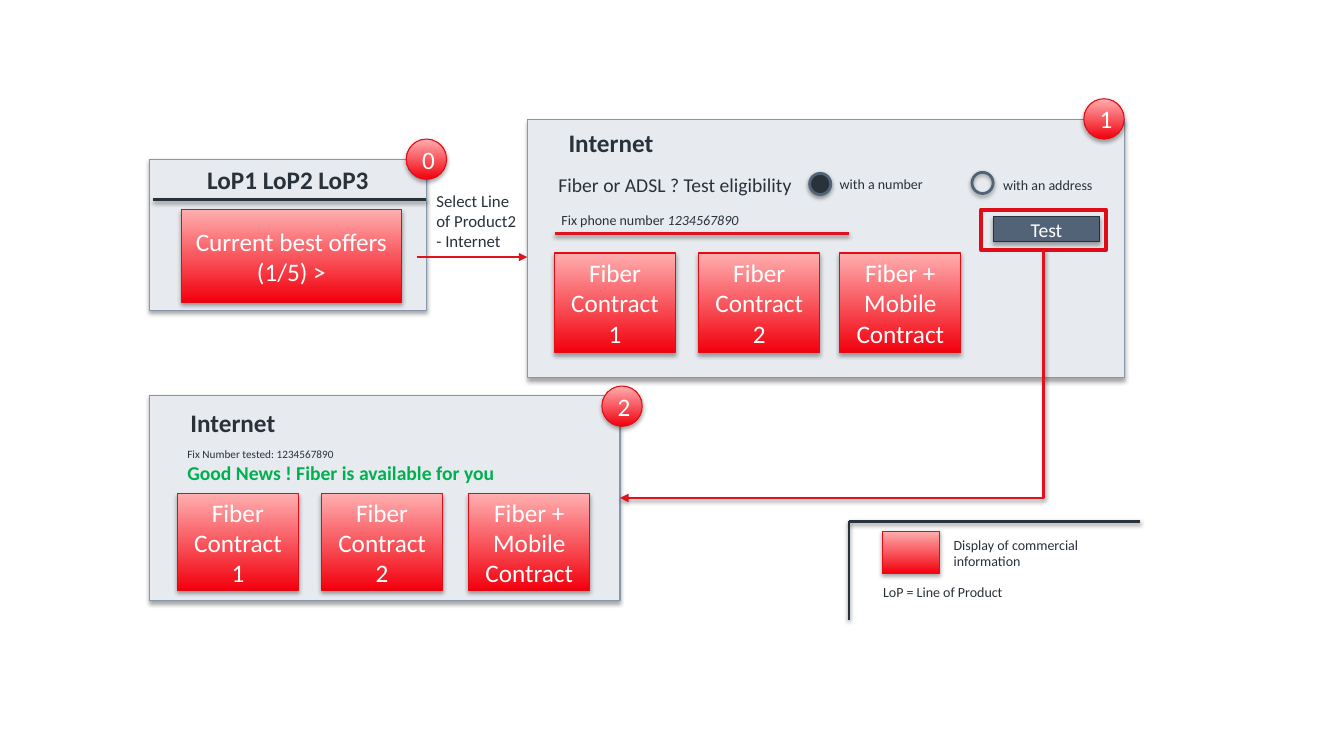
import pptx
import pptx.util
import pptx.dml.color
import pptx.enum.shapes
import pptx.enum.text
import pptx.oxml
import pptx.oxml.ns

Inches, Pt = pptx.util.Inches, pptx.util.Pt
RGBColor = pptx.dml.color.RGBColor
SHAPE = pptx.enum.shapes.MSO_SHAPE
CONNECTOR = pptx.enum.shapes.MSO_CONNECTOR
ANCHOR = pptx.enum.text.MSO_ANCHOR
ALIGN = pptx.enum.text.PP_ALIGN
qn = pptx.oxml.ns.qn

INK = RGBColor(0x29, 0x31, 0x3B)
SLATE = RGBColor(0x53, 0x63, 0x77)
PANEL = RGBColor(0xE7, 0xEA, 0xEE)
PANEL_EDGE = RGBColor(0x86, 0x96, 0xAB)
RED = RGBColor(0xF2, 0x00, 0x0D)
PINK = RGBColor(0xFF, 0xAE, 0xAF)
RED_EDGE = RGBColor(0xE0, 0x0D, 0x18)
RED_LINE = RGBColor(0xE0, 0x12, 0x1D)
GREEN = RGBColor(0x00, 0xB0, 0x50)
WHITE = RGBColor(0xFF, 0xFF, 0xFF)

CONTRACTS = ("Fiber Contract 1", "Fiber Contract 2", "Fiber + Mobile Contract")
BOX_SHADOW = (35, 1.8)
LINE_SHADOW = (38, 1.6)


def add_effects(s, shadow):
    effects = pptx.oxml.parse_xml(f'<a:effectLst {pptx.oxml.ns.nsdecls("a")}/>')
    if shadow:
        alpha, distance = shadow
        effects.append(pptx.oxml.parse_xml(
            f'<a:outerShdw {pptx.oxml.ns.nsdecls("a")} blurRad="{Pt(3.1)}" '
            f'dist="{Pt(distance)}" dir="5400000" rotWithShape="0">'
            f'<a:srgbClr val="000000"><a:alpha val="{alpha * 1000}"/></a:srgbClr>'
            '</a:outerShdw>'))
    s._element.spPr.append(effects)


def add_run(p, text, size, color, **extra):
    r = p.add_run()
    r.text = text
    fmt = {"name": "Calibri", "size": Pt(size), **extra}
    for key, value in fmt.items():
        setattr(r.font, key, value)
    r.font.color.rgb = color


def add_box(slide, at, fill, edge, width=0.75, shadow=BOX_SHADOW,
            preset=SHAPE.RECTANGLE, text="", size=18, color=WHITE,
            anchor=ANCHOR.MIDDLE, **extra):
    s = slide.shapes.add_shape(preset, *map(Inches, at))
    if fill is None:
        s.fill.background()
    elif fill == RED:
        s.fill.gradient()
        s.fill.gradient_angle = 90
        for stop, stop_color, position in zip(s.fill.gradient_stops, (RED, PINK), (0, 1)):
            stop.color.rgb = stop_color
            stop.position = position
    else:
        s.fill.solid()
        s.fill.fore_color.rgb = fill
    s.line.color.rgb = edge
    s.line.width = Pt(width)
    add_effects(s, shadow)
    if text:
        tf = s.text_frame
        tf.vertical_anchor = anchor
        tf.paragraphs[0].alignment = ALIGN.CENTER
        add_run(tf.paragraphs[0], text, size, color, **extra)


def add_panel(slide, at, **title):
    add_box(slide, at, PANEL, PANEL_EDGE, **title)


def add_offer(slide, at, text=""):
    add_box(slide, at, RED, RED_EDGE, text=text)


def add_contracts(slide, lefts, top, height):
    for left, text in zip(lefts, CONTRACTS):
        add_offer(slide, (left, top, 1.2, height), text)


def add_badge(slide, left, top, number):
    add_box(slide, (left, top, 0.4, 0.4), RED, RED_EDGE, preset=SHAPE.OVAL, text=number)


def add_radio(slide, left, top, fill):
    add_box(slide, (left, top, 0.21, 0.21), fill, SLATE, 2, LINE_SHADOW, SHAPE.OVAL)


def add_label(slide, at, *lines):
    s = slide.shapes.add_textbox(*map(Inches, at))
    tf = s.text_frame
    tf.word_wrap = True
    tf.auto_size = pptx.enum.text.MSO_AUTO_SIZE.SHAPE_TO_FIT_TEXT
    for i, runs in enumerate(lines):
        p = tf.add_paragraph() if i else tf.paragraphs[0]
        for text, size, color, fmt in runs:
            add_run(p, text, size, color, **fmt)


def add_text(slide, at, text, size=10, **fmt):
    add_label(slide, at, [(text, size, INK, fmt)])


def add_line(slide, ends, color, shadow=LINE_SHADOW, arrow=False, kind=CONNECTOR.STRAIGHT):
    s = slide.shapes.add_connector(kind, *map(Inches, ends))
    s.line.color.rgb = color
    s.line.width = Pt(2)
    if arrow:
        s.line._get_or_add_ln().append(pptx.oxml.parse_xml(
            f'<a:tailEnd {pptx.oxml.ns.nsdecls("a")} type="triangle"/>'))
    add_effects(s, shadow)
    return s


def add_elbow_arrow(slide, x1, y1, x2, y2):
    cx, cy = (x1 + x2) / 2, (y1 + y2) / 2
    half_w, half_h = (y2 - y1) / 2, (x1 - x2) / 2
    ends = (cx - half_w, cy - half_h, cx + half_w, cy + half_h)
    s = add_line(slide, ends, RED_LINE, arrow=True, kind=CONNECTOR.ELBOW)
    spPr = s._element.spPr
    spPr.find(qn("a:xfrm")).set("rot", "5400000")
    spPr.find(qn("a:prstGeom")).set("prst", "bentConnector2")


def add_home(slide):
    add_panel(slide, (1.48, 1.58, 2.75, 1.5), text="LoP1 LoP2 LoP3",
              color=INK, anchor=ANCHOR.TOP, bold=True)
    add_badge(slide, 4.03, 1.38, "0")
    add_line(slide, (1.52, 1.98, 4.23, 1.98), INK)
    add_offer(slide, (1.8, 2.08, 2.18, 0.92), "Current best offers (1/5) >")


def add_eligibility(slide):
    add_panel(slide, (5.23, 1.19, 5.92, 2.56))
    add_radio(slide, 8.03, 1.72, INK)
    add_radio(slide, 9.64, 1.71, None)
    add_badge(slide, 10.75, 0.98, "1")
    add_box(slide, (9.85, 2.15, 1.06, 0.25), SLATE, INK, text="Test", size=14)
    add_box(slide, (9.73, 2.08, 1.24, 0.4), None, RED_EDGE, 3, None)
    add_line(slide, (4.14, 2.55, 5.23, 2.55), RED_LINE, None, True)
    add_text(slide, (4.23, 1.84, 1.07, 0.71), "Select Line of Product2 - Internet", 12)
    add_text(slide, (5.54, 1.21, 1.39, 0.4), "Internet", 18, bold=True)
    add_text(slide, (5.44, 1.67, 2.55, 0.34), "Fiber or ADSL ? Test eligibility", 14)
    add_text(slide, (8.23, 1.69, 1.25, 0.27), "with a number")
    add_text(slide, (9.85, 1.7, 1.25, 0.27), "with an address")
    add_line(slide, (5.5, 2.32, 8.42, 2.32), RED_LINE)
    add_label(slide, (5.47, 2.05, 2.67, 0.27),
              [("Fix phone number ", 10, INK, {}),
               ("1234567890", 10, INK, {"italic": True})])
    add_contracts(slide, (5.5, 6.93, 8.33), 2.51, 0.99)


def add_result(slide):
    add_panel(slide, (1.48, 3.92, 4.67, 2.04))
    add_text(slide, (1.79, 3.99, 1.39, 0.4), "Internet", 18, bold=True)
    add_contracts(slide, (1.76, 3.19, 4.65), 4.9, 0.96)
    add_elbow_arrow(slide, 10.35, 2.47, 6.15, 4.94)
    add_label(slide, (1.76, 4.39, 3.74, 0.47),
              [("Fix Number tested: 1234567890", 8, INK, {})],
              [("Good News ! Fiber is available for you", 14, GREEN, {"bold": True})])
    add_badge(slide, 5.97, 3.83, "2")


def add_legend(slide):
    add_text(slide, (8.66, 5.74, 1.72, 0.27), "LoP = Line of Product")
    add_offer(slide, (8.75, 5.27, 0.57, 0.42))
    add_text(slide, (9.36, 5.27, 1.72, 0.44), "Display of commercial information")
    for x, y in ((8.42, 6.15), (11.31, 5.17)):
        add_line(slide, (8.42, 5.17, x, y), INK)


def main():
    prs = pptx.Presentation()
    prs.slide_width, prs.slide_height = Inches(13.33), Inches(7.5)
    slide = prs.slides.add_slide(prs.slide_layouts[6])
    for add_part in (add_home, add_eligibility, add_result, add_legend):
        add_part(slide)
    prs.save("out.pptx")


if __name__ == "__main__":
    main()
